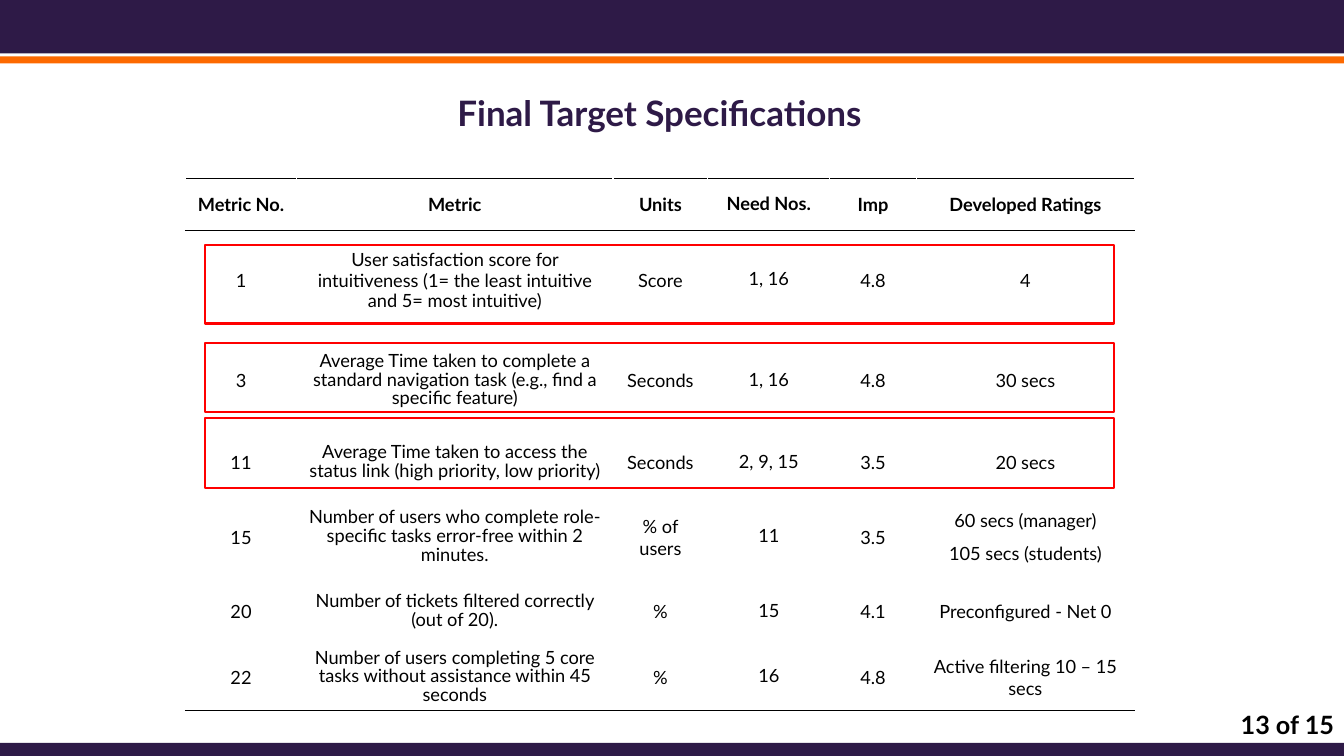
from lxml import etree
from pptx import Presentation
from pptx.dml.color import RGBColor
from pptx.enum.shapes import MSO_SHAPE as Shape
from pptx.enum.text import MSO_ANCHOR as Anchor, PP_ALIGN as Align
from pptx.oxml.ns import qn
from pptx.util import Inches, Pt

UNIT = 0.1
FONT = "Lato"
PURPLE, ORANGE, RED, BLACK = "2E1A47", "FD6900", "FF0000", "000000"

COL_WIDTHS = [11, 31.4, 9.4, 12.1, 8.6, 21.6]
ROW_HEIGHTS = [5.2, 9.9, 9.9, 6.4, 8.4, 6.4, 6.4]
TIGHT_ROWS = {0, 2, 3}
METRIC, NEEDS = 1, 3
ROWS = [
    ["Metric No.", "Metric", "Units", "Need Nos.", "Imp", "Developed Ratings"],
    ["1", "User satisfaction score for intuitiveness (1= the least intuitive and 5= most intuitive)",
     "Score", "1, 16", "4.8", "4"],
    ["3", "Average Time taken to complete a standard navigation task (e.g., find a specific feature)",
     "Seconds", "1, 16", "4.8", "30 secs"],
    ["11", "Average Time taken to access the status link (high priority, low priority)",
     "Seconds", "2, 9, 15", "3.5", "20 secs"],
    ["15", "Number of users who complete role-specific tasks error-free within 2 minutes.",
     "% of users", "11", "3.5", "60 secs (manager)\n105 secs (students)"],
    ["20", "Number of tickets filtered correctly (out of 20).",
     "%", "15", "4.1", "Preconfigured - Net 0"],
    ["22", "Number of users completing 5 core tasks without assistance within 45 seconds",
     "%", "16", "4.8", "Active filtering 10 – 15 secs"],
]
HIGHLIGHTS = [(41.5, 6.9), (34, 6.9), (24.3, 7.8)]


def rgb(value):
    return RGBColor.from_string(value)


def grid(*cells):
    return [Inches(n * UNIT) for n in cells]


def line_spacing(row, col):
    if row == 1:
        return Pt(12.8 if col == NEEDS else 14.7)
    if col == NEEDS or (col == METRIC and row > 1):
        return Pt(13.5)
    return Pt(15.5)


class Deck:
    def __init__(self, prs):
        self.s = prs.slides.add_slide(prs.slide_layouts[5])

    def style(self, tf, size, color, bold, align):
        for p in tf.paragraphs:
            p.alignment = align
            for r in p.runs:
                r.font.name = FONT
                r.font.size = Pt(size)
                r.font.bold = bold
                r.font.color.rgb = rgb(color)

    def rect(self, box, fill=None, line=None):
        sp = self.s.shapes.add_shape(Shape.RECTANGLE, *grid(*box))
        sp.shadow.inherit = False
        if fill:
            sp.fill.solid()
            sp.fill.fore_color.rgb = rgb(fill)
        else:
            sp.fill.background()
        if line:
            sp.line.color.rgb = rgb(line)
            sp.line.width = Pt(1.5)
        else:
            sp.line.fill.background()

    def title(self, text, box):
        sp = self.s.shapes.title
        sp.left, sp.top, sp.width, sp.height = grid(*box)
        sp.text_frame.text = text
        sp.text_frame.vertical_anchor = Anchor.TOP
        self.style(sp.text_frame, 25, PURPLE, True, Align.CENTER)

    def text(self, text, box):
        tf = self.s.shapes.add_textbox(*grid(*box)).text_frame
        tf.word_wrap = True
        tf.text = text
        self.style(tf, 18, BLACK, True, Align.RIGHT)

    def border(self, cell, side):
        ln = etree.Element(qn("a:" + side), w=str(Pt(1)))
        fill = etree.SubElement(ln, qn("a:solidFill"))
        etree.SubElement(fill, qn("a:srgbClr"), val=BLACK)
        cell._tc.get_or_add_tcPr().append(ln)

    def cell(self, cell, row, col, text):
        if row in TIGHT_ROWS:
            cell.margin_left = cell.margin_right = Inches(0.06)
            cell.margin_top = cell.margin_bottom = Inches(0.03)
        cell.vertical_anchor = Anchor.MIDDLE
        if row in (0, 1):
            self.border(cell, "lnT")
        if row in (0, len(ROWS) - 1):
            self.border(cell, "lnB")
        cell.fill.background()
        cell.text_frame.text = text
        self.style(cell.text_frame, 13, BLACK, row == 0, Align.CENTER)
        for p in cell.text_frame.paragraphs:
            p.line_spacing = line_spacing(row, col)
            p.space_after = Pt(3.6 if col == NEEDS else 8)

    def table(self, left, top):
        box = grid(left, top, sum(COL_WIDTHS), sum(ROW_HEIGHTS))
        tbl = self.s.shapes.add_table(len(ROWS), len(COL_WIDTHS), *box).table
        tbl.first_row = tbl.horz_banding = False
        for column, width in zip(tbl.columns, grid(*COL_WIDTHS)):
            column.width = width
        for row, height in zip(tbl.rows, grid(*ROW_HEIGHTS)):
            row.height = height
        for i, row in enumerate(ROWS):
            for j, text in enumerate(row):
                self.cell(tbl.cell(i, j), i, j, text)


def main():
    prs = Presentation()
    prs.slide_width, prs.slide_height = Inches(13.33), Inches(7.5)
    deck = Deck(prs)
    for top, height, color in [(0, 5.3, PURPLE), (5.6, 0.7, ORANGE), (73.7, 1.3, PURPLE)]:
        deck.rect((0, top, 133.3, height), fill=color)
    deck.table(18.4, 17.7)
    deck.title("Final Target Specifications", (2.9, 8.6, 125, 5.2))
    for top, height in HIGHLIGHTS:
        deck.rect((20.3, top, 90.2, height), line=RED)
    deck.text("13 of 15", (121, 69.9, 12.3, 4))
    prs.save("out.pptx")


if __name__ == "__main__":
    main()
